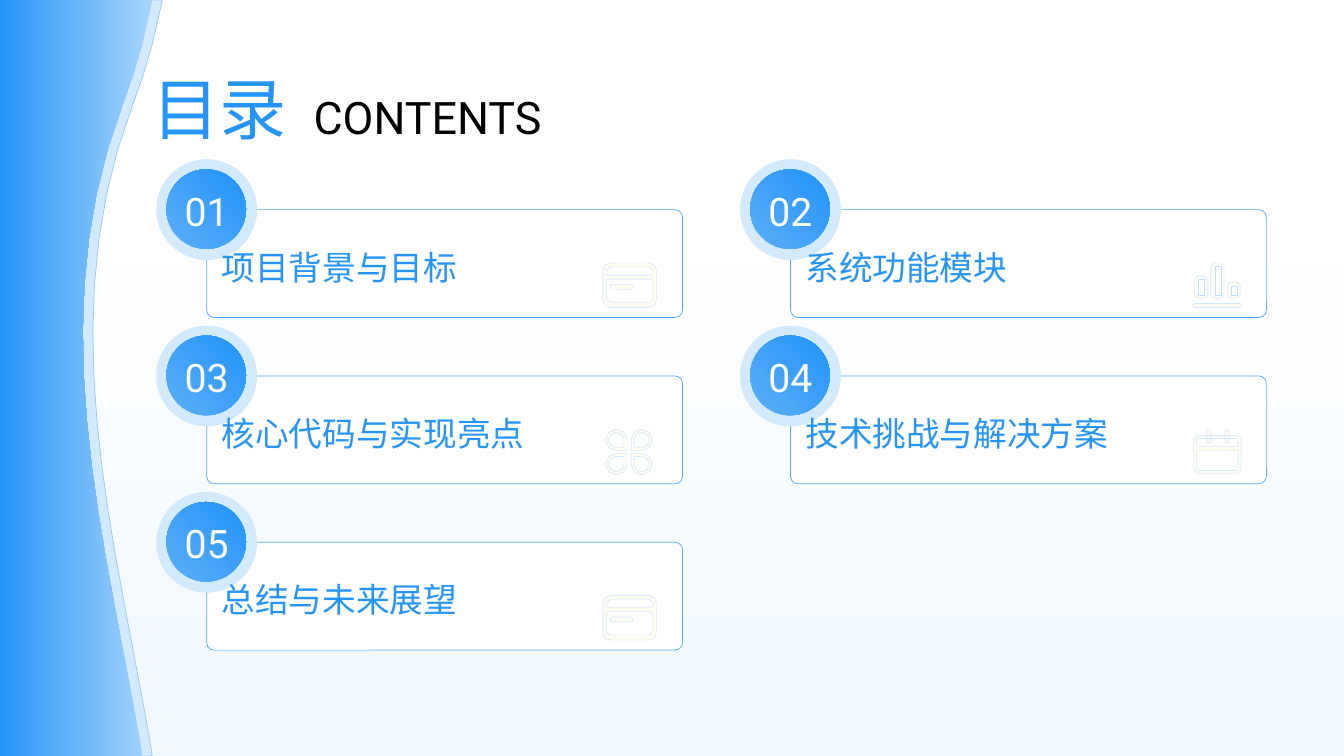
import math

import pptx
import pptx.dml.color
import pptx.enum.shapes
import pptx.enum.text
import pptx.util

Inches = pptx.util.Inches
Pt = pptx.util.Pt
SHAPES = pptx.enum.shapes.MSO_SHAPE
ALIGN = pptx.enum.text.PP_ALIGN
ANCHOR = pptx.enum.text.MSO_ANCHOR

WIDTH, HEIGHT = 13.33, 7.5
FONT = "Roboto"
COLORS = {
    "blue": "2595F7", "sky": "5CAFF9", "light": "A8D5FC", "pale": "D3EAFD",
    "mist": "F0F8FE", "white": "FFFFFF", "black": "000000", "card line": "51AAF9",
    "wave line": "92CAFB", "icon": "FFFCF2", "icon line": "BEDFFD",
}

TOPICS = [
    ("项目背景与目标", "card"),
    ("系统功能模块", "bars"),
    ("核心代码与实现亮点", "clover"),
    ("技术挑战与解决方案", "calendar"),
    ("总结与未来展望", "card"),
]

# Each icon: offset from its card's left edge, then rounded boxes of
# left, top, width, height and corner radii (clockwise from top left).
ICONS = {
    "card": (3.93, [
        (0, 0, 0.53, 0.44, (0.07,) * 4),
        (0.04, 0.04, 0.45, 0.08, (0.03, 0.03, 0, 0)),
        (0.04, 0.16, 0.45, 0.23, (0, 0, 0.03, 0.03)),
        (0.07, 0.21, 0.23, 0.05, (0.02,) * 4),
    ]),
    "bars": (3.99, [
        (0.02, 0.13, 0.13, 0.22, (0.03,) * 4),
        (0.05, 0.16, 0.06, 0.16, (0,) * 4),
        (0.18, 0, 0.13, 0.35, (0.03,) * 4),
        (0.22, 0.03, 0.06, 0.29, (0,) * 4),
        (0.34, 0.19, 0.13, 0.16, (0.03,) * 4),
        (0.38, 0.23, 0.06, 0.09, (0,) * 4),
        (0, 0.4, 0.49, 0.04, (0.02,) * 4),
    ]),
    "clover": (3.96, [
        (x + inset, y + inset, 0.21 - 2 * inset, 0.21 - 2 * inset,
         tuple(0 if corner == inner else 0.1 - inset for corner in range(4)))
        for x, y, inner in [(0, 0, 2), (0.25, 0, 3), (0.25, 0.24, 0), (0, 0.24, 1)]
        for inset in (0, 0.03)
    ]),
    "calendar": (4.0, [
        (0, 0.06, 0.47, 0.38, (0.05,) * 4),
        (0.03, 0.09, 0.41, 0.08, (0.02, 0.02, 0, 0)),
        (0.03, 0.21, 0.41, 0.2, (0, 0, 0.02, 0.02)),
        (0.13, 0, 0.04, 0.14, (0.02,) * 4),
        (0.31, 0, 0.04, 0.14, (0.02,) * 4),
    ]),
}

# The right edge of the wave, as cubic curves with a number of steps,
# joined by straight ends.
WAVE_CURVES = [
    ([(1.48, 0.14), (1.42, 0.44), (1.33, 0.74), (1.22, 1.03)], 3),
    ([(1.22, 1.03), (0.42, 3.12), (1.01, 5.22), (1.38, 7.31)], 14),
]
WAVE_TOP, WAVE_BOTTOM = (1.51, 0), (1.41, HEIGHT)
WAVE_BAND = 0.1

FIRST_CARD = (2.05, 2.08)
CARD_STEP = (5.79, 1.65)
CARD_SIZE = (4.72, 1.07)


def color(name):
    return pptx.dml.color.RGBColor.from_string(COLORS[name])


def paint(shape, fill, line=None, line_width=0.5):
    shape.shadow.inherit = False
    shape.fill.solid()
    shape.fill.fore_color.rgb = color(fill)
    if line:
        shape.line.color.rgb = color(line)
        shape.line.width = Pt(line_width)
    else:
        shape.line.fill.background()


def paint_gradient(shape, stops, angle):
    paint(shape, stops[0][1])
    shape.fill.gradient()
    shape.fill.gradient_angle = angle
    for stop, (position, name) in zip(shape.fill.gradient_stops, stops):
        stop.position = position
        stop.color.rgb = color(name)


def add_preset(page, kind, left, top, width, height):
    return page.shapes.add_shape(
        kind, Inches(left), Inches(top), Inches(width), Inches(height))


def add_outline(page, contours):
    """Add one freeform made of closed contours given in inches."""
    scaled = [[(Inches(x), Inches(y)) for x, y in contour] for contour in contours]
    builder = page.shapes.build_freeform(*scaled[0][0])
    for number, contour in enumerate(scaled):
        if number:
            builder.move_to(*contour[0])
        builder.add_line_segments(contour[1:], close=True)
    return builder.convert_to_shape()


def curve_points(curve, steps):
    weights = (1, 3, 3, 1)
    for step in range(1, steps + 1):
        t = step / steps
        yield tuple(
            sum(w * (1 - t) ** (3 - i) * t ** i * point[axis]
                for i, (w, point) in enumerate(zip(weights, curve)))
            for axis in (0, 1))


def rounded_box(left, top, width, height, radii):
    points = []
    for corner, radius in enumerate(radii):
        on_right, on_bottom = corner in (1, 2), corner in (2, 3)
        center_x = left + (width - radius if on_right else radius)
        center_y = top + (height - radius if on_bottom else radius)
        steps = 2 if radius >= 0.05 else 1
        for step in range(steps + 1 if radius else 1):
            angle = math.radians(180 + 90 * (corner + step / steps))
            points.append((center_x + radius * math.cos(angle),
                           center_y + radius * math.sin(angle)))
    return points


def write(box, text, size, name, align=ALIGN.LEFT, anchor=ANCHOR.TOP):
    frame = box.text_frame
    frame.text = text
    frame.word_wrap = True
    frame.auto_size = pptx.enum.text.MSO_AUTO_SIZE.NONE
    frame.vertical_anchor = anchor
    frame.margin_left = frame.margin_right = frame.margin_top = frame.margin_bottom = 0
    para = frame.paragraphs[0]
    para.alignment = align
    para.line_spacing = 1.1
    para.space_before = Pt(0)
    font = para.runs[0].font
    font.name, font.size = FONT, Pt(size)
    font.color.rgb = color(name)


def add_text(page, left, top, width, height, *args, **options):
    box = page.shapes.add_textbox(
        Inches(left), Inches(top), Inches(width), Inches(height))
    write(box, *args, **options)


def add_topic(page, index, text, icon):
    row, column = divmod(index, 2)
    left = FIRST_CARD[0] + column * CARD_STEP[0]
    top = FIRST_CARD[1] + row * CARD_STEP[1]

    card = add_preset(page, SHAPES.ROUNDED_RECTANGLE, left, top, *CARD_SIZE)
    card.adjustments[0] = 0.07
    paint(card, "white", "card line")
    ring = add_preset(page, SHAPES.OVAL, left - 0.5, top - 0.5, 1, 1)
    paint(ring, "pale")
    disc = add_preset(page, SHAPES.OVAL, left - 0.4, top - 0.4, 0.79, 0.79)
    paint_gradient(disc, [(0, "sky"), (0.94, "blue")], 45)

    offset, boxes = ICONS[icon]
    symbol = add_outline(page, [
        rounded_box(left + offset + x, top + 0.53 + y, width, height, radii)
        for x, y, width, height, radii in boxes])
    paint(symbol, "icon", "icon line", 0.25)

    add_text(page, left - 0.42, top - 0.27, 0.84, 0.54,
             f"{index + 1:02}", 28, "white", align=ALIGN.CENTER)
    add_text(page, left + 0.15, top + 0.09, 4.57, 0.91,
             text, 24, "blue", anchor=ANCHOR.MIDDLE)


def add_wave(page):
    edge = [WAVE_TOP, WAVE_CURVES[0][0][0]]
    for curve, steps in WAVE_CURVES:
        edge.extend(curve_points(curve, steps))
    edge.append(WAVE_BOTTOM)
    shifted = [(x + WAVE_BAND, y) for x, y in edge]
    band = add_outline(page, [[(0.7, 0), *shifted, (0.7, HEIGHT)]])
    paint(band, "pale", "wave line")
    wave = add_outline(page, [[(0, 0), *edge, (0, HEIGHT)]])
    paint_gradient(wave, [(0, "light"), (1, "blue")], 180)


def main():
    deck = pptx.Presentation()
    deck.slide_width, deck.slide_height = Inches(WIDTH), Inches(HEIGHT)
    page = deck.slides.add_slide(deck.slide_layouts[5])

    backdrop = add_preset(page, SHAPES.RECTANGLE, 0, 0, WIDTH, HEIGHT)
    paint_gradient(backdrop, [(0, "mist"), (0.74, "white")], 90)
    for index, (text, icon) in enumerate(TOPICS):
        add_topic(page, index, text, icon)
    add_text(page, 3.11, 0.84, 5.51, 0.61, "CONTENTS", 32, "black")

    title = page.shapes.title
    title.left, title.top = Inches(1.51), Inches(0.59)
    title.width, title.height = Inches(2.35), Inches(0.91)
    write(title, "目录", 48, "blue")
    backdrop.element.getparent().append(title.element)  # in front of the backdrop
    add_wave(page)
    deck.save("out.pptx")


if __name__ == "__main__":
    main()
